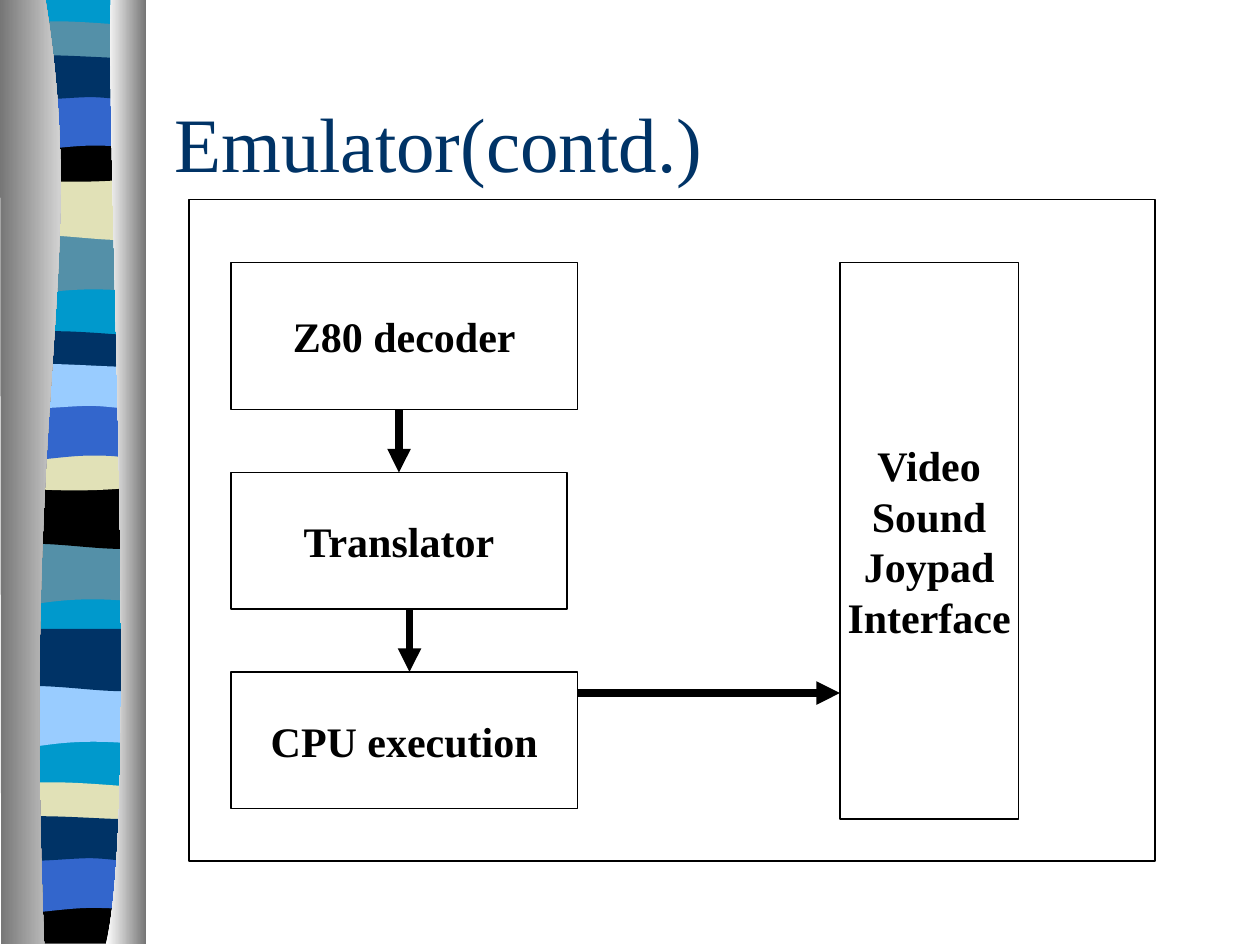
from dataclasses import dataclass
from typing import NamedTuple

from lxml.etree import SubElement
from pptx import Presentation
from pptx.dml.color import RGBColor
from pptx.enum.shapes import MSO_CONNECTOR, MSO_SHAPE
from pptx.enum.text import MSO_ANCHOR, PP_ALIGN
from pptx.oxml.ns import qn
from pptx.util import Pt

FONT = "Times New Roman"
COLORS = {
    "cyan": "0099CC", "teal": "5490A8", "navy": "003366", "blue": "3366CC",
    "black": "000000", "sand": "E1E1B7", "sky": "99CCFF", "white": "FFFFFF",
    "gray": "767676",
}
WIDTH = 77.8  # ribbon width

# Outlines: a start point, then lines (x, y) and curves (x1, y1, x2, y2, x, y)
OUTLINES = {
    "base": [(WIDTH, 0), (WIDTH, 538.6), (0, 538.6), (0, 0), (WIDTH, 0)],
    "swell": [(WIDTH, 0), (WIDTH, 33.8), (23.8, 28.1, 13, 39.6, 0, 33.8),
              (0, 0), (WIDTH, 0)],
    "sag": [(WIDTH, 0), (WIDTH, 33.8), (64.8, 39.6, 23.8, 29.5, 0, 33.8),
            (0, 0), (WIDTH, 0)],
    "crest": [(WIDTH, 3.6), (WIDTH, 20.9), (64.8, 24, 13, 24, 0, 20.9), (0, 3.6),
              (4.3, 0, 16.6, 0.7, 29.5, 0.7), (42.5, 0.7, 67.7, 2.9, WIDTH, 3.6)],
    "bowl": [(WIDTH, 0), (WIDTH, 23), (64.8, 27, 13, 27, 0, 23), (0, 0),
             (47.5, 3.6, 61.2, 0, WIDTH, 0)],
    "foot": [(WIDTH, 0), (WIDTH, 26.6), (0.5, 26.6), (0, 0),
             (47.5, 3.6, 61.2, 0, WIDTH, 0)],
    "arch": [(WIDTH, 0), (WIDTH, 33.8), (65.5, 30, 60.5, 30, 47.5, 30),
             (34.6, 30, 11.5, 33.8, 0, 33.8), (0, 0), (WIDTH, 0)],
    "ripple": [(WIDTH, 3.6), (WIDTH, 26), (72.7, 29.5, 60.5, 26, 47.5, 26),
               (34.6, 26, 7.9, 29.5, 0, 26), (0, 3.6),
               (10.8, 0, 52.6, 3.6, 65.5, 3.6), (78.5, 3.6, 75, 3.6, WIDTH, 3.6)],
    "left column": [(25.9, -0.5), (51.1, 155.5, 12.2, 213.1, 25.2, 539.5),
                    (0.7, 539.5), (0, -0.5), (25.9, -0.5)],
    "right column": [(63.4, -0.5), (60.5, 90, 79.9, 465.1, 60.5, 539.5),
                     (83.5, 539.5), (83.5, 0), (63.4, -0.5)],
}


class Stripe(NamedTuple):
    outline: str
    color: str
    left: float
    top: float


class Point(NamedTuple):
    x: float
    y: float


@dataclass
class Box:
    text: str
    left: float
    top: float
    width: float
    height: float
    fill: str | None = "white"


@dataclass
class Arrow:
    start: Point
    end: Point
    target: str | None = None
    site: int = 0


STRIPES = [
    Stripe("base", "cyan", 4.2, -0.5),
    Stripe("swell", "teal", 4.2, 133.2),
    Stripe("sag", "sand", 4.2, 101.5),
    Stripe("crest", "teal", 4.2, 11.5),
    Stripe("bowl", "black", 4.2, 77.8),
    Stripe("arch", "blue", 4.2, 53.3),
    Stripe("ripple", "navy", 4.2, 29.5),
    Stripe("swell", "teal", 3.6, 310.3),
    Stripe("sag", "black", 3.6, 278),
    Stripe("crest", "navy", 3.6, 188.6),
    Stripe("bowl", "sand", 3.6, 254.2),
    Stripe("arch", "blue", 3.6, 230.4),
    Stripe("ripple", "sky", 3.6, 205.9),
    Stripe("swell", "sky", 4.2, 391.7),
    Stripe("sag", "navy", 4.2, 359.3),
    Stripe("crest", "sand", 3.6, 446.4),
    Stripe("foot", "black", 3.6, 512.6),
    Stripe("arch", "blue", 3.6, 488.9),
    Stripe("ripple", "navy", 3.6, 464.4),
]
BOXES = [
    Box("Z80 decoder", 132, 150, 198, 84),
    Box("CPU execution", 132, 384, 198, 78),
    Box("Video\nSound\nJoypad\nInterface", 480, 150, 102, 318),
    Box("", 108, 114, 552, 378, None),
    Box("Translator", 132, 270, 192, 78),
]
ARROWS = [
    Arrow(Point(330, 396), Point(480, 396)),
    Arrow(Point(234, 348), Point(234, 384)),
    Arrow(Point(228, 234), Point(228, 270), "Translator"),
]


def rgb(name: str) -> RGBColor:
    return RGBColor.from_string(COLORS[name])


def draw_outline(shapes, name: str, left: float = 0, top: float = 0):
    segments = OUTLINES[name]
    corners = [(Pt(left + x), Pt(top + y)) for segment in segments
               for x, y in zip(segment[::2], segment[1::2])]
    builder = shapes.build_freeform(*corners[0], scale=1.0)
    builder.add_line_segments(corners[1:], close=True)
    shape = builder.convert_to_shape()
    # Merge each curve's three points into one Bezier segment
    lines = iter(list(shape._element.iter(qn("a:lnTo"))))
    for segment in segments[1:]:
        group = [next(lines) for _ in range(len(segment) // 2)]
        if len(group) == 3:
            curve = SubElement(group[0].getparent(), qn("a:cubicBezTo"))
            group[0].addprevious(curve)
            for line in group:
                curve.append(line[0])
                line.getparent().remove(line)
    shape.shadow.inherit = False
    shape.line.fill.background()
    return shape


def draw_stripe(shapes, stripe: Stripe) -> None:
    shape = draw_outline(shapes, stripe.outline, stripe.left, stripe.top)
    shape.fill.solid()
    shape.fill.fore_color.rgb = rgb(stripe.color)


def draw_column(shapes, name: str, colors: tuple[str, str]) -> None:
    fill = draw_outline(shapes, name).fill
    fill.gradient()
    fill.gradient_angle = 0
    for stop, color in zip(fill.gradient_stops, colors):
        stop.color.rgb = rgb(color)


def format_runs(paragraph, size: float, color: str, bold: bool) -> None:
    for run in paragraph.runs:
        run.font.name = FONT
        run.font.size = Pt(size)
        run.font.bold = bold
        run.font.color.rgb = rgb(color)


def draw_box(slide, box: Box):
    shape = slide.shapes.add_shape(MSO_SHAPE.RECTANGLE, Pt(box.left), Pt(box.top),
                                   Pt(box.width), Pt(box.height))
    shape.shadow.inherit = False
    shape.line.color.rgb = rgb("black")
    shape.line.width = Pt(0.75)
    if box.fill:
        shape.fill.solid()
        shape.fill.fore_color.rgb = rgb(box.fill)
    else:
        shape.fill.background()
    if box.text:
        frame = shape.text_frame
        frame.text = box.text
        frame.word_wrap = False
        frame.vertical_anchor = MSO_ANCHOR.MIDDLE
        for paragraph in frame.paragraphs:
            paragraph.alignment = PP_ALIGN.CENTER
            format_runs(paragraph, 24, "black", True)
    return shape


def draw_arrow(slide, arrow: Arrow, boxes: dict) -> None:
    connector = slide.shapes.add_connector(
        MSO_CONNECTOR.STRAIGHT, *(Pt(v) for v in (*arrow.start, *arrow.end)))
    connector.line.color.rgb = rgb("black")
    connector.line.width = Pt(4.5)
    if arrow.target:
        connector.end_connect(boxes[arrow.target], arrow.site)
    properties = connector._element.spPr
    SubElement(properties.find(qn("a:ln")), qn("a:tailEnd"), type="triangle")
    SubElement(properties, qn("a:effectLst"))


def main() -> None:
    presentation = Presentation()
    presentation.slide_width, presentation.slide_height = Pt(720), Pt(540)
    slide = presentation.slides.add_slide(presentation.slide_layouts[5])

    # Striped ribbon between two shaded columns
    ribbon = slide.shapes.add_group_shape().shapes
    for stripe in STRIPES:
        draw_stripe(ribbon, stripe)
    draw_column(ribbon, "left column", ("gray", "white"))
    draw_column(ribbon, "right column", ("white", "gray"))

    # Title
    title = slide.shapes.title
    title.left, title.top, title.width, title.height = Pt(92.4), Pt(36), Pt(612), Pt(90)
    title.text_frame.text = "Emulator(contd.)"
    title.text_frame.vertical_anchor = MSO_ANCHOR.MIDDLE
    title.text_frame.paragraphs[0].alignment = PP_ALIGN.LEFT
    format_runs(title.text_frame.paragraphs[0], 44, "navy", False)

    # Block diagram
    boxes = {box.text: draw_box(slide, box) for box in BOXES}
    for arrow in ARROWS:
        draw_arrow(slide, arrow, boxes)
    presentation.save("out.pptx")


if __name__ == "__main__":
    main()
